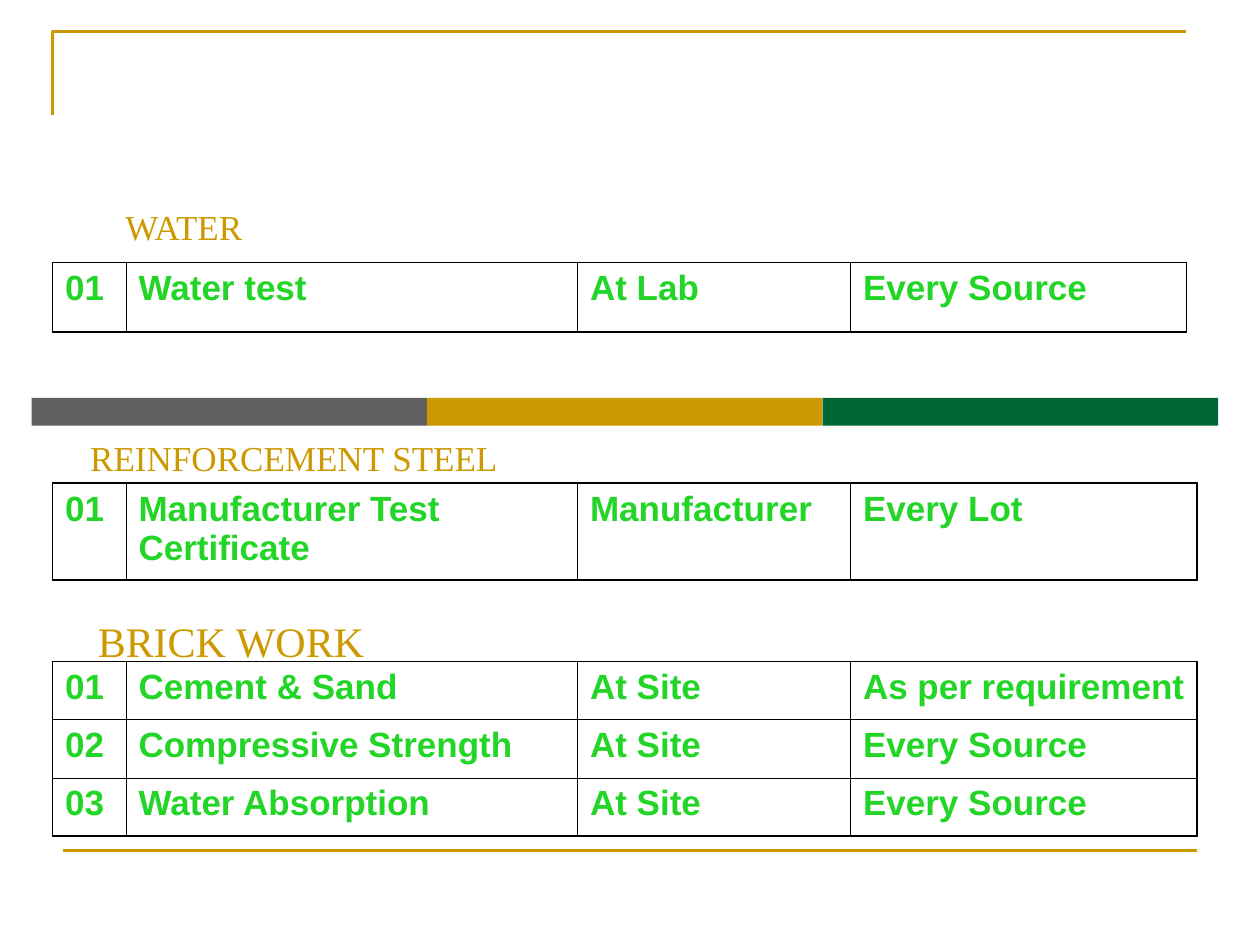
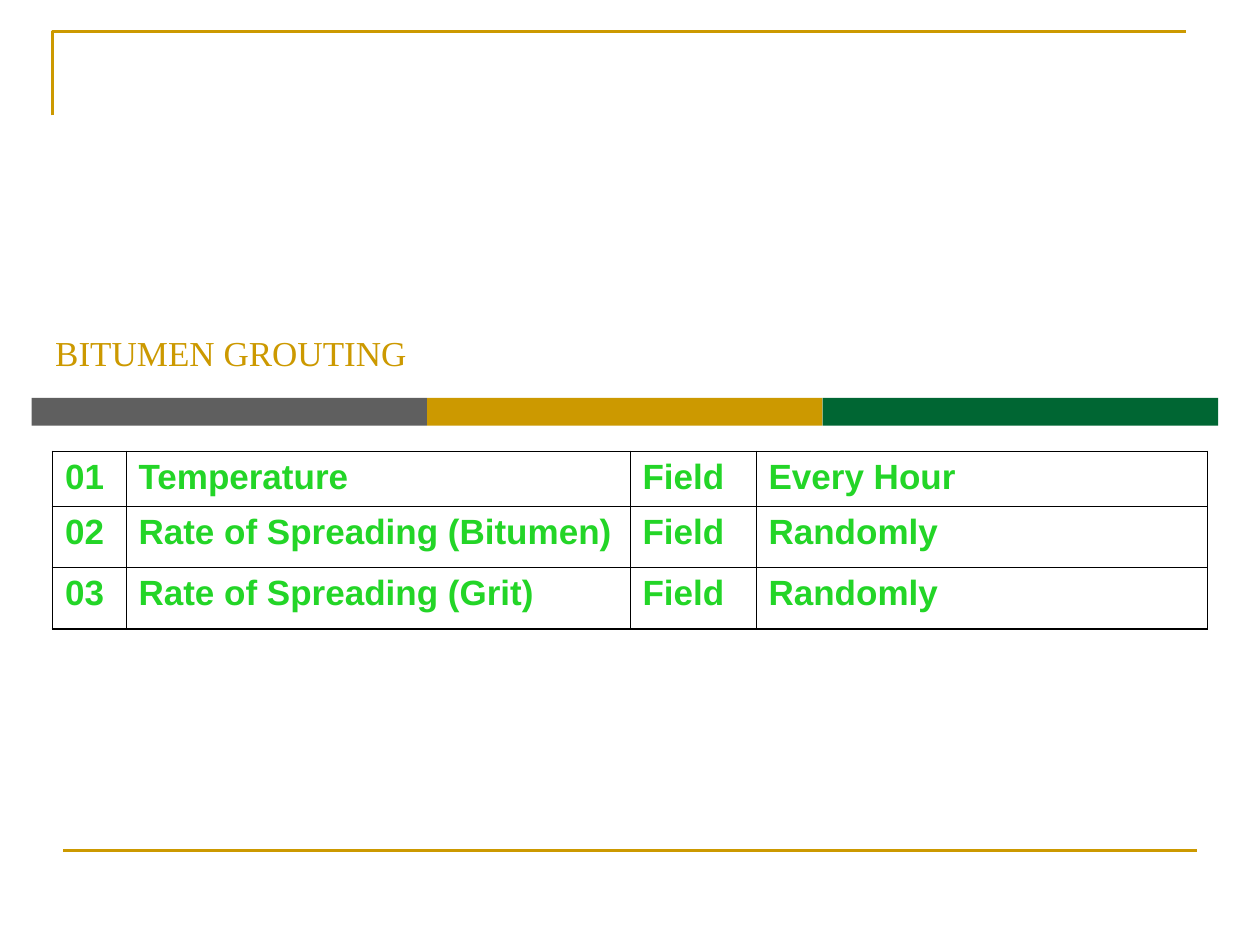
from lxml.etree import SubElement
from pptx import Presentation
from pptx.dml.color import RGBColor
from pptx.enum.shapes import MSO_CONNECTOR, MSO_SHAPE
from pptx.enum.text import MSO_AUTO_SIZE, PP_ALIGN
from pptx.oxml.ns import qn
from pptx.util import Inches, Pt

GOLD, GREY, GREEN, LIME, BLACK = "CC9900", "5F5F5F", "006633", "23D527", "000000"
HEADING = {"name": "Times New Roman", "bold": False}
CELL = {"name": "Arial", "bold": True, "size": Pt(20)}
MARGINS = {"margin_left": Inches(0.1), "margin_right": Inches(0.08),
           "margin_top": Inches(0.05), "margin_bottom": Inches(0.05)}
THICK, THIN = 1.08, 0.45


def rgb(color):
    return RGBColor.from_string(color)


def write(tf, text, color, fmt):
    p = tf.paragraphs[0]
    r = p.add_run()
    r.text = text
    r.font.color.rgb = rgb(color)
    for name, value in fmt.items():
        setattr(r.font, name, value)
    return p


prs = Presentation()
prs.slide_width, prs.slide_height = Inches(10), Inches(7.5)
U = prs.slide_width // 120

slides = [
    [
        (("WATER", 7, 19, 21, 3, 20),
         (25, [7, 43, 26, 32], [6.65],
          [["01", "Water test", "At Lab", "Every Source"]])),
        (("REINFORCEMENT STEEL", 6, 41, 44, 3, 20),
         (46, [7, 43, 26, 33], [9.25],
          [["01", "Manufacturer Test Certificate", "Manufacturer", "Every Lot"]])),
        (("BRICK WORK", 6, 58, 32, 2.5, 24),
         (63, [7, 43, 26, 33], [5.55] * 3,
          [["01", "Cement & Sand", "At Site", "As per requirement"],
           ["02", "Compressive Strength", "At Site", "Every Source"],
           ["03", "Water Absorption", "At Site", "Every Source"]])),
    ],
    [
        (("BITUMEN GROUTING", 3, 31, 38, 4, 20),
         (43, [7, 48, 12, 43], [5.25, 5.82, 5.82],
          [["01", "Temperature", "Field", "Every Hour"],
           ["02", "Rate of Spreading (Bitumen)", "Field", "Randomly"],
           ["03", "Rate of Spreading (Grit)", "Field", "Randomly"]])),
    ],
]

for sections in slides:
    s = prs.slides.add_slide(prs.slide_layouts[6])

    fb = s.shapes.build_freeform(5, 11, scale=U)
    fb.add_line_segments([(5, 3), (113, 3)], close=False)
    corner = fb.convert_to_shape()
    corner.shadow.inherit = False
    corner.fill.background()
    rule = s.shapes.add_connector(MSO_CONNECTOR.STRAIGHT, 6 * U, 81 * U, 114 * U, 81 * U)
    for sp in (corner, rule):
        sp.line.color.rgb = rgb(GOLD)
        sp.line.width = Pt(1.5)
    SubElement(rule._element.spPr, qn("a:effectLst"))

    band_w = int(37.67 * U)
    for i, color in enumerate((GREY, GOLD, GREEN)):
        sp = s.shapes.add_shape(MSO_SHAPE.RECTANGLE, 3 * U + i * band_w,
                                int(37.9 * U), band_w, int(2.65 * U))
        sp.shadow.inherit = False
        sp.fill.solid()
        sp.fill.fore_color.rgb = rgb(color)
        sp.line.fill.background()

    for (text, left, top, width, height, size), (y, cols, heights, rows) in sections:
        sp = s.shapes.add_textbox(left * U, top * U, width * U, int(height * U))
        tf = sp.text_frame
        tf.word_wrap = True
        tf.auto_size = MSO_AUTO_SIZE.NONE
        p = write(tf, text, GOLD, {**HEADING, "size": Pt(size)})
        p.alignment = PP_ALIGN.CENTER

        table = s.shapes.add_table(len(rows), len(cols), 5 * U, y * U,
                                   sum(cols) * U, int(sum(heights) * U)).table
        table.first_row = table.horz_banding = False
        for col, w in zip(table.columns, cols):
            col.width = w * U
        for row, h in zip(table.rows, heights):
            row.height = int(h * U)
        for i, row in enumerate(rows):
            for j, text in enumerate(row):
                cell = table.cell(i, j)
                p = write(cell.text_frame, text, LIME, CELL)
                p.space_before = Pt(5)
                tcPr = cell._tc.get_or_add_tcPr()
                outer = {"L": j == 0, "R": j == len(cols) - 1,
                         "T": i == 0, "B": i == len(rows) - 1}
                for side, edge in outer.items():
                    ln = SubElement(tcPr, qn(f"a:ln{side}"),
                                    w=str(Pt(THICK if edge else THIN)))
                    fill = SubElement(ln, qn("a:solidFill"))
                    SubElement(fill, qn("a:srgbClr"), val=BLACK)
                cell.fill.background()
                for name, value in MARGINS.items():
                    setattr(cell, name, value)

prs.save("out.pptx")
